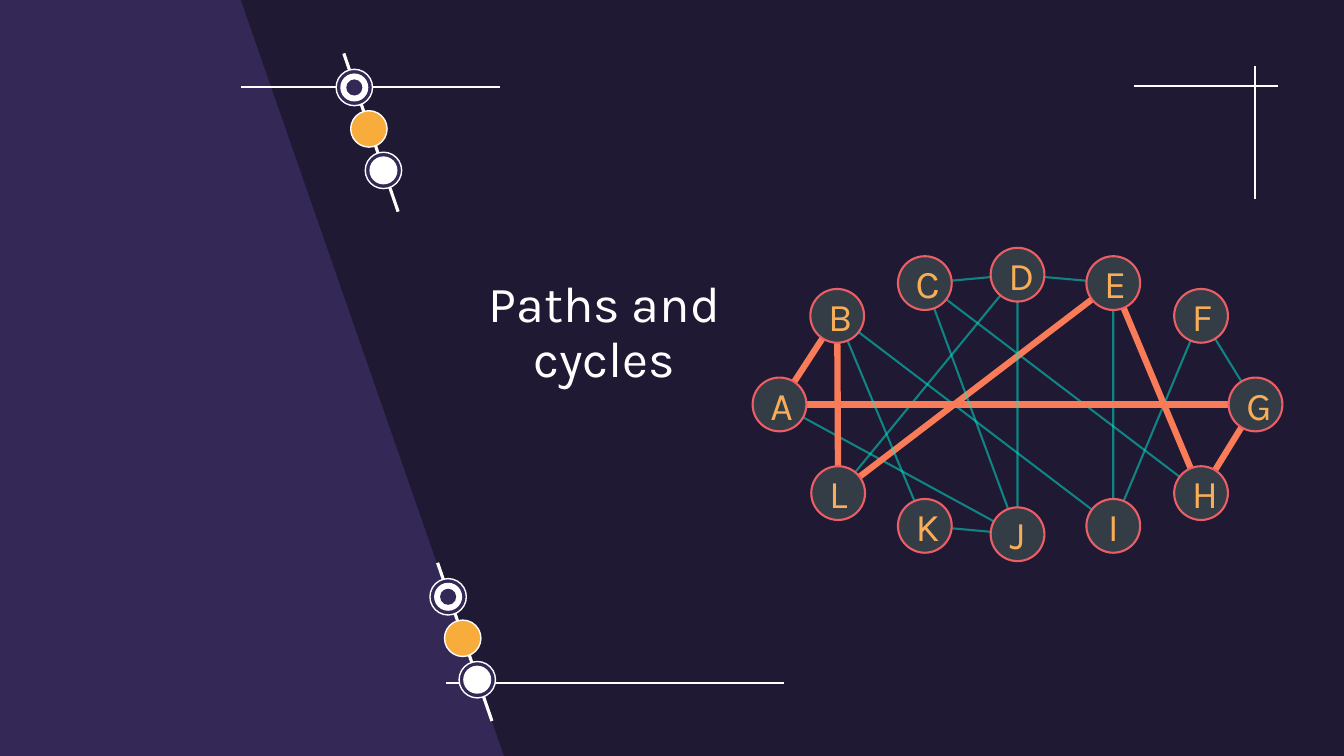
from dataclasses import dataclass

from lxml import etree
from pptx import Presentation
from pptx.dml.color import RGBColor
from pptx.enum import shapes, text
from pptx.oxml import ns
from pptx.util import Pt


@dataclass(frozen=True)
class Theme:
    background: str = "342956"
    panel: str = "1F1934"
    white: str = "FFFFFF"
    amber: str = "F7AC3B"
    edge: str = "00EFD1"
    highlight: str = "F97B57"
    node: str = "343D46"
    node_outline: str = "EC5E66"
    node_label: str = "F9AD57"
    font: str = "Karla"
    title_size: int = 36
    label_size: int = 28


THEME = Theme()
WIDTH, HEIGHT = 960, 540

# Node offsets from the centre of the graph
NODES = {
    "A": (-170, 0), "B": (-128.8, -63.3), "C": (-66.2, -86.7), "D": (0, -92.7),
    "E": (68.4, -86.7), "F": (131.1, -63.3), "G": (170, 0), "H": (131.1, 63.3),
    "I": (68.4, 86.7), "J": (0, 92.7), "K": (-66.2, 86.7), "L": (-128.1, 63.3),
}
EDGES = "GH AJ BL LD EI IF GF CH BI AG LE BK AB CD CJ DE EH KJ JD".split()
CYCLE = {"AB", "BL", "LE", "EH", "GH", "AG"}


def colour(value):
    return RGBColor.from_string(value)


def add_line(slide, start, end, line_colour, width, opacity=100):
    """Draw a straight line; opacity is a percentage."""
    connector = slide.shapes.add_connector(
        shapes.MSO_CONNECTOR.STRAIGHT, *(Pt(value) for value in (*start, *end)))
    connector.line.color.rgb = colour(line_colour)
    connector.line.width = Pt(width)
    properties = connector.element.spPr
    etree.SubElement(properties, ns.qn("a:effectLst"))
    if opacity < 100:
        solid_colour = properties.find(".//" + ns.qn("a:srgbClr"))
        etree.SubElement(solid_colour, ns.qn("a:alpha"), val=str(opacity * 1000))


def add_circle(slide, centre_x, centre_y, diameter, fill, outline=None, width=1):
    circle = slide.shapes.add_shape(
        shapes.MSO_SHAPE.OVAL, Pt(centre_x - diameter / 2), Pt(centre_y - diameter / 2),
        Pt(diameter), Pt(diameter))
    circle.shadow.inherit = False
    circle.fill.solid()
    circle.fill.fore_color.rgb = colour(fill)
    if outline:
        circle.line.color.rgb = colour(outline)
        circle.line.width = Pt(width)
    else:
        circle.line.fill.background()
    return circle


def add_panel(slide, top_left, bottom_left, right, bottom):
    """Draw the dark panel with its slanted left edge."""
    builder = slide.shapes.build_freeform(Pt(right), Pt(0), scale=1.0)
    corners = [(top_left, 0), (bottom_left, bottom), (right, bottom)]
    builder.add_line_segments([(Pt(x), Pt(y)) for x, y in corners], close=True)
    panel = builder.convert_to_shape()
    panel.shadow.inherit = False
    panel.fill.solid()
    panel.fill.fore_color.rgb = colour(THEME.panel)
    panel.line.fill.background()


def add_rules(slide):
    for start, end in [((318.5, 488), (560, 488)), ((172, 62), (357, 62)),
                       ((810, 61.5), (913, 61.5)), ((896.4, 47.3), (896.4, 142.3))]:
        add_line(slide, start, end, THEME.white, 1.5)


def add_beads(slide, left, top):
    """Thread three beads on a slanted line that starts at left, top."""
    add_line(slide, (left, top), (left + 38.8, top + 113), THEME.white, 2.25)
    beads = [
        [(26, THEME.background), (20, THEME.white), (11.5, THEME.background)],
        [(26, THEME.amber)],
        [(26, THEME.background), (20, THEME.white)],
    ]
    for index, discs in enumerate(beads):
        centre = left + 7.5 + 10.4 * index, top + 24.3 + 29.6 * index
        for diameter, fill in discs:
            outline = THEME.white if diameter == 26 else None
            add_circle(slide, *centre, diameter, fill, outline)


def add_title(slide, left, top, width, height):
    title = slide.shapes.title
    title.left, title.top, title.width, title.height = map(Pt, (left, top, width, height))
    frame = title.text_frame
    frame.text = "Paths and\vcycles"
    frame.word_wrap = True
    frame.auto_size = text.MSO_AUTO_SIZE.NONE
    frame.vertical_anchor = text.MSO_ANCHOR.TOP
    paragraph = frame.paragraphs[0]
    paragraph.alignment = text.PP_ALIGN.CENTER
    paragraph.line_spacing = 0.9
    paragraph.font.name = THEME.font
    paragraph.font.size = Pt(THEME.title_size)
    paragraph.font.color.rgb = colour(THEME.white)
    # The placeholder starts at the back; bring it in front of the panel
    title.element.getparent().append(title.element)


def add_graph(slide, left, top, width, height):
    """Draw the graph, with its cycle highlighted, centred in the box."""
    centres = {name: (left + width / 2 + x, top + height / 2 + y)
               for name, (x, y) in NODES.items()}
    for edge in EDGES:
        start, end = (centres[name] for name in edge)
        if edge in CYCLE:
            add_line(slide, start, end, THEME.highlight, 4.5)
        else:
            add_line(slide, start, end, THEME.edge, 1.5, opacity=50)
    for name, centre in centres.items():
        node = add_circle(slide, *centre, 38.4, THEME.node, THEME.node_outline, 1.5)
        node.text_frame.text = name
        node.text_frame.vertical_anchor = text.MSO_ANCHOR.MIDDLE
        paragraph = node.text_frame.paragraphs[0]
        paragraph.alignment = text.PP_ALIGN.CENTER
        paragraph.font.name = THEME.font
        paragraph.font.size = Pt(THEME.label_size)
        paragraph.font.color.rgb = colour(THEME.node_label)


def main():
    presentation = Presentation()
    presentation.slide_width, presentation.slide_height = Pt(WIDTH), Pt(HEIGHT)
    slide = presentation.slides.add_slide(presentation.slide_layouts[5])
    slide.background.fill.solid()
    slide.background.fill.fore_color.rgb = colour(THEME.background)
    add_panel(slide, 172, 360, WIDTH, HEIGHT)
    add_rules(slide)
    add_beads(slide, 312.6, 402)
    add_beads(slide, 245.6, 38.2)
    add_title(slide, 312.5, 195.8, 238.3, 116.6)
    add_graph(slide, 537.6, 177, 378.4, 223.8)
    presentation.save("out.pptx")


if __name__ == "__main__":
    main()
